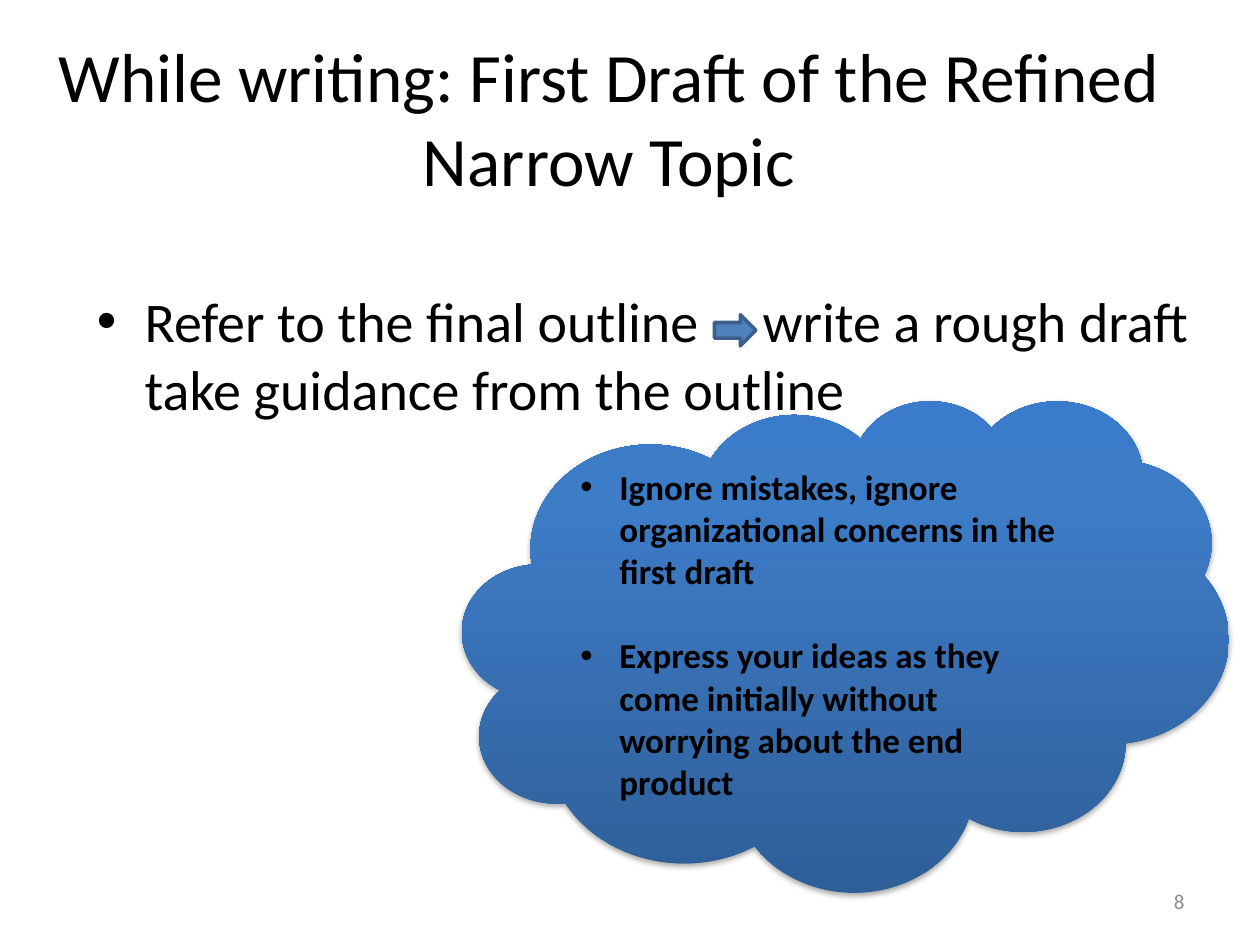
from lxml import etree
from pptx import Presentation
from pptx import util as u
from pptx.dml.color import RGBColor
from pptx.enum import shapes, text
from pptx.oxml import parse_xml
from pptx.oxml.ns import nsdecls, qn

W, H = 10, 7.5
FONT = "Calibri"
COLORS = {
    "ink": "000000", "muted": "8C8C8C", "arrow": "4F81BD", "edge": "3A5F8C",
    "low": "2F5F99", "mid": "3D7CC7", "high": "3A7CCB",
}


def place(box):
    """Turn shares of the slide's size into lengths."""
    return [u.Inches(share * side) for share, side in zip(box, (W, H, W, H))]


def frame(s, box, anchor=text.MSO_ANCHOR.TOP):
    """Add a wrapping text box and return its text frame."""
    tf = s.shapes.add_textbox(*place(box)).text_frame
    tf.word_wrap, tf.vertical_anchor = True, anchor
    return tf


def write(p, words, size=20, color="ink", bold=False, align=None, spacing=0):
    """Append a formatted run to a paragraph."""
    if align is not None:
        p.alignment = align
    r = p.add_run()
    r.text = words
    r.font.name, r.font.size, r.font.bold = FONT, u.Pt(size), bold
    r.font.color.rgb = RGBColor.from_string(COLORS[color])
    if spacing:
        r.font._element.set("spc", str(round(spacing * 100)))


def bullet(p, indent, before=0):
    """Give a paragraph a hanging bullet."""
    p.alignment, p.space_before = text.PP_ALIGN.LEFT, u.Pt(before)
    pPr = p._p.get_or_add_pPr()
    pPr.set("marL", str(u.Inches(indent)))
    pPr.set("indent", str(-u.Inches(indent)))
    etree.SubElement(pPr, qn("a:buFont")).set("typeface", "Arial")
    etree.SubElement(pPr, qn("a:buChar")).set("char", "•")


def title(s, box):
    """Place the centred title."""
    p = frame(s, box, text.MSO_ANCHOR.MIDDLE).paragraphs[0]
    write(p, "While writing: First Draft of the Refined Narrow Topic",
          size=39.6, align=text.PP_ALIGN.CENTER)


def body(s, box):
    """Place the main point, with a gap in it for the arrow."""
    p = frame(s, box).paragraphs[0]
    bullet(p, 0.38, before=6.4)
    write(p, "Refer to the final outline", size=32)
    write(p, " ", size=32, spacing=29)
    write(p, "write a rough draft take guidance from the outline", size=32)


def number(s, box):
    """Place the slide number."""
    p = frame(s, box, text.MSO_ANCHOR.MIDDLE).paragraphs[0]
    write(p, "8", size=12, color="muted", align=text.PP_ALIGN.RIGHT)


def arrow(s, box):
    """Place the small block arrow."""
    sp = s.shapes.add_shape(shapes.MSO_SHAPE.RIGHT_ARROW, *place(box))
    sp.shadow.inherit = False
    sp.fill.solid()
    sp.fill.fore_color.rgb = RGBColor.from_string(COLORS["arrow"])
    sp.line.color.rgb = RGBColor.from_string(COLORS["edge"])
    sp.line.width = u.Pt(2)


def shade(sp, stops, angle):
    """Fill a shape with a linear gradient and a soft shadow below."""
    sp.line.fill.background()
    sp.shadow.inherit = False
    gs = "".join(f'<a:gs pos="{pos * 1000}"><a:srgbClr val="{COLORS[name]}"/></a:gs>'
                 for pos, name in stops)
    sp._element.spPr.find(qn("a:prstGeom")).addnext(parse_xml(
        f'<a:gradFill {nsdecls("a")} rotWithShape="1"><a:gsLst>{gs}</a:gsLst>'
        f'<a:lin ang="{angle * 60000}" scaled="0"/></a:gradFill>'))
    sp._element.spPr.find(qn("a:effectLst")).append(parse_xml(
        f'<a:outerShdw {nsdecls("a")} blurRad="{u.Pt(3.1)}" dist="{u.Pt(1.8)}" '
        'dir="5400000" rotWithShape="0"><a:srgbClr val="000000">'
        '<a:alpha val="35000"/></a:srgbClr></a:outerShdw>'))


def cloud(s, box, points):
    """Place the cloud with its bold points."""
    sp = s.shapes.add_shape(shapes.MSO_SHAPE.CLOUD, *place(box))
    shade(sp, [(0, "low"), (80, "mid"), (100, "high")], 270)
    tf = sp.text_frame
    tf.word_wrap, tf.vertical_anchor = True, text.MSO_ANCHOR.MIDDLE
    for i, words in enumerate(points):
        p = tf.add_paragraph() if i else tf.paragraphs[0]
        bullet(p, 0.31, before=24 if i else 0)
        write(p, words, bold=True)


def main():
    """Build and save the slide."""
    prs = Presentation()
    prs.slide_width, prs.slide_height = u.Inches(W), u.Inches(H)
    s = prs.slides.add_slide(prs.slide_layouts[6])
    title(s, (0.017, 0.04, 0.933, 0.167))
    body(s, (0.067, 0.297, 0.9, 0.66))
    number(s, (0.717, 0.927, 0.233, 0.053))
    arrow(s, (0.567, 0.333, 0.033, 0.033))
    cloud(s, (0.367, 0.423, 0.608, 0.52), [
        "Ignore mistakes, ignore organizational concerns in the first draft",
        "Express your ideas as they come initially without worrying about the end product",
    ])
    prs.save("out.pptx")


if __name__ == "__main__":
    main()
